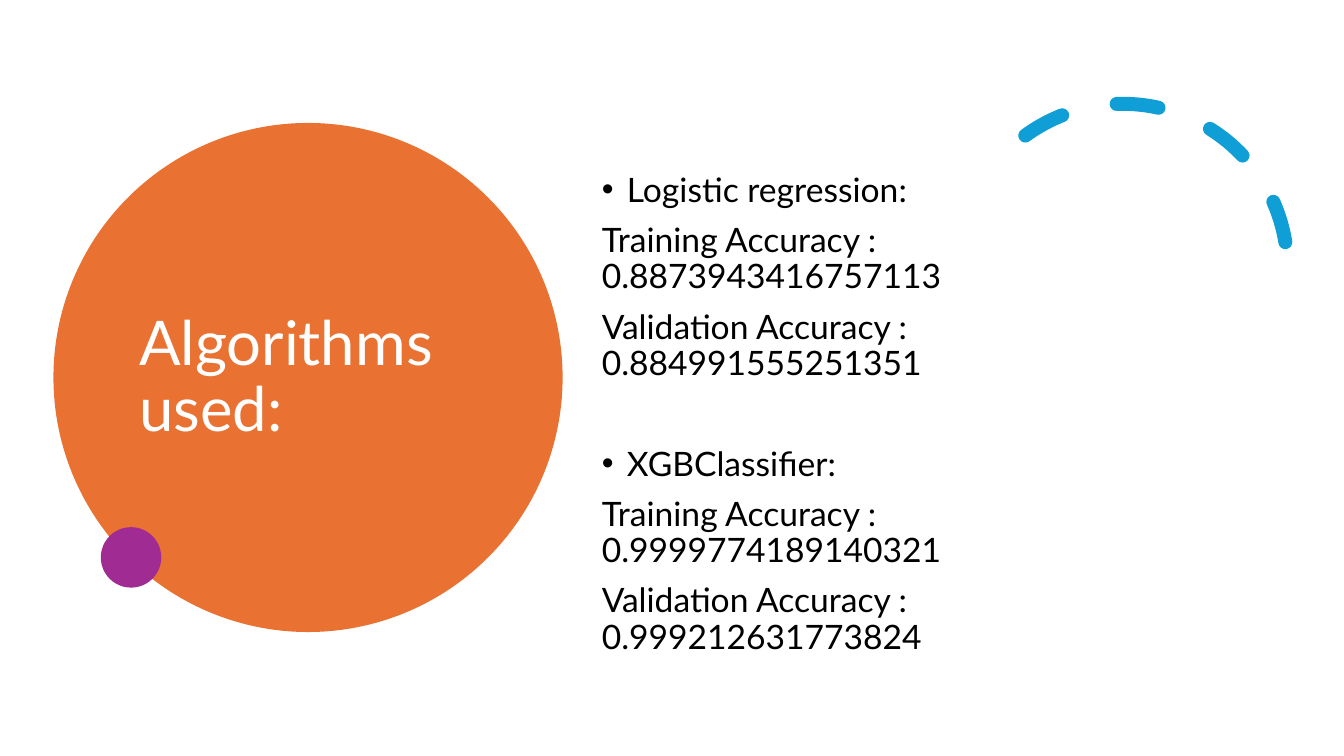
from lxml import etree
from pptx import Presentation
from pptx.dml.color import RGBColor
from pptx.enum.dml import MSO_LINE
from pptx.enum.shapes import MSO_SHAPE
from pptx.enum.text import MSO_ANCHOR, MSO_AUTO_SIZE, PP_ALIGN
from pptx.oxml.ns import qn
from pptx.util import Inches, Pt

OVAL, ARC = MSO_SHAPE.OVAL, MSO_SHAPE.ARC
DASH = MSO_LINE.DASH
MIDDLE, TOP = MSO_ANCHOR.MIDDLE, MSO_ANCHOR.TOP
LEFT = PP_ALIGN.LEFT
NO_FIT = MSO_AUTO_SIZE.NONE

ORANGE = RGBColor(0xE9, 0x71, 0x32)
PURPLE = RGBColor(0xA0, 0x2B, 0x93)
BLUE = RGBColor(0x0F, 0x9E, 0xD5)
WHITE = RGBColor(0xFF, 0xFF, 0xFF)
BLACK = RGBColor(0, 0, 0)

MODELS = [
    ("Logistic regression:", "0.8873943416757113", "0.884991555251351"),
    ("XGBClassifier:", "0.9999774189140321", "0.999212631773824"),
]


def assign(item, values):
    """Set each named value as an attribute of the item."""
    for name, value in values.items():
        setattr(item, name, value)


class Board:
    """Hold the text style and the current slide."""

    font = "Lato"
    para = {"line_spacing": 0.9, "alignment": LEFT}
    frame = {"word_wrap": True, "auto_size": NO_FIT}

    def __init__(self, slide):
        """Keep the slide to draw on."""
        self.slide = slide

    def shape(self, kind, *box):
        """Add a plain preset shape without shadow."""
        shape = self.slide.shapes.add_shape(kind, *map(Inches, box))
        shape.shadow.inherit = False
        return shape

    def disc(self, left, top, size, color):
        """Add a filled circle without outline."""
        disc = self.shape(OVAL, left, top, size, size)
        disc.fill.solid()
        disc.fill.fore_color.rgb = color
        disc.line.fill.background()

    def arc(self, left, top, size, turn, angles, color, width):
        """Add a dashed arc with round line ends."""
        arc = self.shape(ARC, left, top, size, size)
        arc.rotation = turn
        for index, angle in enumerate(angles):
            arc.adjustments[index] = angle
        arc.fill.background()
        arc.line.color.rgb = color
        assign(arc.line, {"width": Pt(width), "dash_style": DASH})
        arc.element.spPr.find(qn("a:ln")).set("cap", "rnd")

    def label(self, part, text, size, color, before=0):
        """Fill a paragraph with styled text."""
        part.text = text
        assign(part, self.para | {"space_before": Pt(before)})
        assign(part.font, {"name": self.font, "size": Pt(size)})
        part.font.color.rgb = color

    def bullet(self, part, indent):
        """Give a paragraph a hanging bullet."""
        props = part._p.get_or_add_pPr()
        props.set("marL", str(Inches(indent)))
        props.set("indent", str(-Inches(indent)))
        font = etree.SubElement(props, qn("a:buFont"))
        font.set("typeface", "Arial")
        etree.SubElement(props, qn("a:buChar")).set("char", "•")

    def title(self, text, box, size, color):
        """Place the title above the shapes drawn so far."""
        title = self.slide.shapes.title
        names = ("left", "top", "width", "height")
        assign(title, dict(zip(names, map(Inches, box))))
        frame = title.text_frame
        assign(frame, self.frame | {"vertical_anchor": MIDDLE})
        self.label(frame.paragraphs[0], text, size, color)
        self.slide.shapes._spTree.append(title.element)

    def scores(self, models, box, size, color):
        """List each model with its two accuracies."""
        shape = self.slide.shapes.add_textbox(*map(Inches, box))
        frame = shape.text_frame
        assign(frame, self.frame | {"vertical_anchor": TOP})
        for index, (name, train, valid) in enumerate(models):
            head = frame.add_paragraph() if index else frame.paragraphs[0]
            self.label(head, name, size, color, 46 if index else 10)
            self.bullet(head, 0.25)
            for kind, score in (("Training", train), ("Validation", valid)):
                text = f"{kind} Accuracy : {score}"
                self.label(frame.add_paragraph(), text, size, color, 10)


def main():
    """Build and save the slide."""
    deck = Presentation()
    assign(deck, {"slide_width": Inches(13.33), "slide_height": Inches(7.5)})
    board = Board(deck.slides.add_slide(deck.slide_layouts[5]))
    board.disc(0.53, 1.22, 5.05, ORANGE)
    board.title("Algorithms used:", (1.28, 1.53, 3.54, 4.45), 44, WHITE)
    board.arc(9.5, 1.03, 3.27, 330.2, (158.17, 17.81), BLUE, 10)
    board.disc(1, 5.23, 0.6, PURPLE)
    board.scores(MODELS, (5.87, 1.67, 6.05, 4.3), 24, BLACK)
    deck.save("out.pptx")


if __name__ == "__main__":
    main()
